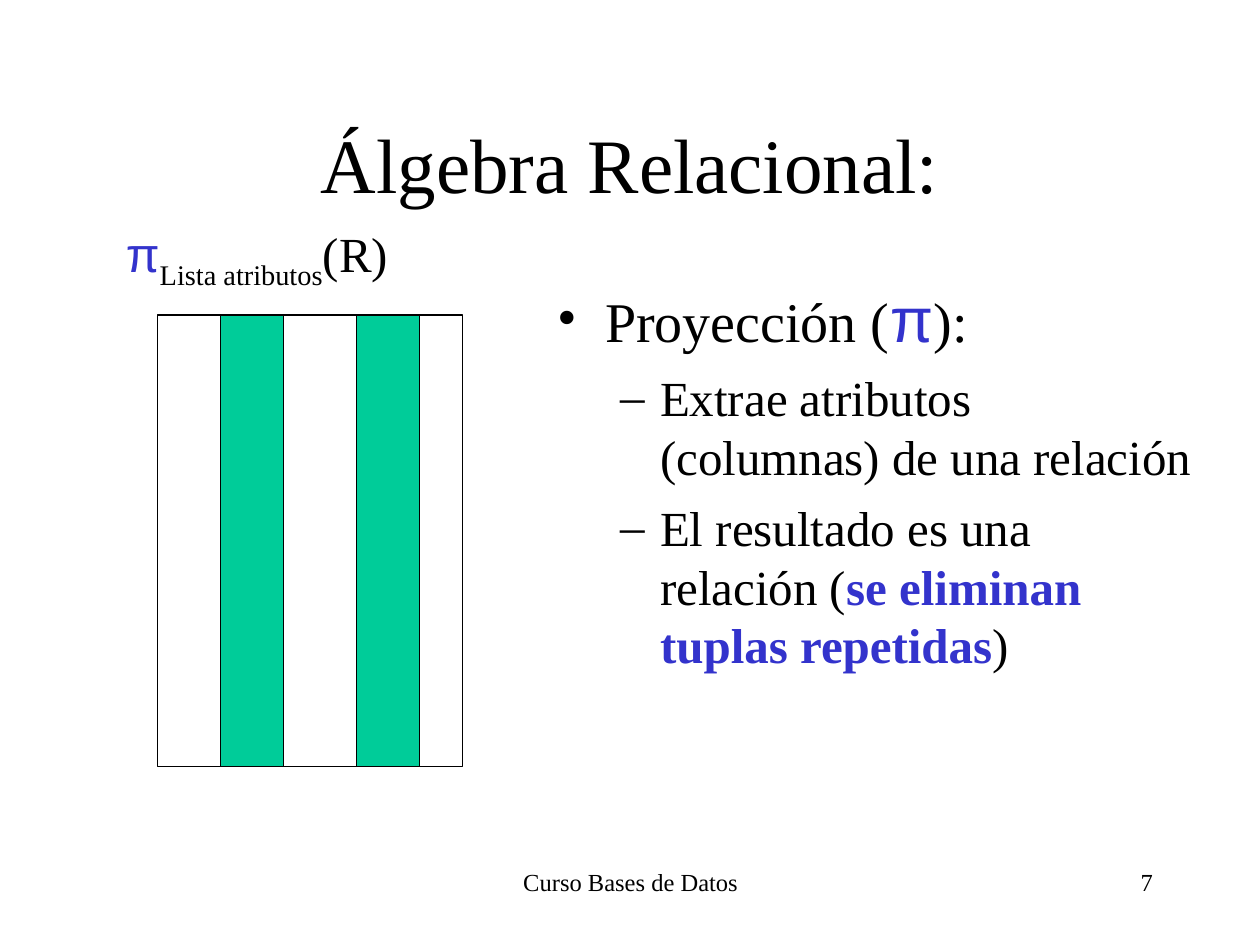
from lxml.etree import SubElement
from pptx import Presentation
from pptx.dml.color import RGBColor
from pptx.enum.shapes import MSO_SHAPE as Shape
from pptx.enum.text import MSO_ANCHOR as Anchor, PP_ALIGN as Align
from pptx.oxml.ns import qn
from pptx.util import Cm, Pt

BLACK = RGBColor(0x00, 0x00, 0x00)
BLUE = RGBColor(0x33, 0x33, 0xCC)
GREEN = RGBColor(0x00, 0xCC, 0x99)
SERIF = "Times New Roman"
SANS = "Arial"


def add_run(p, text, size=28, font=SERIF, color=BLACK, bold=False, baseline=0):
    r = p.add_run()
    r.text = text
    r.font.size = Pt(size)
    r.font.name = font
    r.font.color.rgb = color
    r.font.bold = bold
    if baseline:
        r.font._element.set("baseline", str(baseline))


def add_box(s, x, y, w, h, anchor=Anchor.TOP):
    tf = s.shapes.add_textbox(Cm(x), Cm(y), Cm(w), Cm(h)).text_frame
    tf.word_wrap = True
    tf.vertical_anchor = anchor
    return tf


def add_line(s, x, y, w, h, text, size, align, anchor=Anchor.TOP):
    p = add_box(s, x, y, w, h, anchor).paragraphs[0]
    p.alignment = align
    add_run(p, text, size=size)


def set_bullet(p, char, margin, hanging):
    pPr = p._p.get_or_add_pPr()
    pPr.set("marL", str(Cm(margin)))
    pPr.set("indent", str(-Cm(hanging)))
    color = SubElement(pPr, qn("a:buClr"))
    SubElement(color, qn("a:srgbClr"), val=str(BLACK))
    SubElement(pPr, qn("a:buFont"), typeface=SERIF)
    SubElement(pPr, qn("a:buChar"), char=char)


def add_subitem(tf, *runs):
    p = tf.add_paragraph()
    p.level = 1
    set_bullet(p, "–", 2.06, 0.79)
    p.space_before = Pt(7)
    for text, fmt in runs:
        add_run(p, text, **fmt)


def add_rect(s, x, w, fill=None):
    sp = s.shapes.add_shape(Shape.RECTANGLE, Cm(x), Cm(6.35), Cm(w), Cm(9.1))
    sp.shadow.inherit = False
    sp.line.color.rgb = BLACK
    sp.line.width = Pt(0.75)
    if fill is None:
        sp.fill.background()
    else:
        sp.fill.solid()
        sp.fill.fore_color.rgb = fill


def add_projection(s):
    tf = add_box(s, 4.33 * 2.54, 5.51, 13.28, 12.22)
    p = tf.paragraphs[0]
    set_bullet(p, "•", 0.95, 0.95)
    add_run(p, "Proyección (", size=32)
    add_run(p, "π", size=36, font=SANS, color=BLUE)
    add_run(p, "):", size=32)
    add_subitem(tf, ("Extrae atributos (columnas) de una relación", {}))
    add_subitem(
        tf,
        ("El resultado es una relación (", {}),
        ("se eliminan tuplas repetidas", {"color": BLUE, "bold": True}),
        (")", {}),
    )


def add_relation(s):
    add_rect(s, 3.18, 6.14)
    for x in (4.45, 7.19):
        add_rect(s, x, 1.27, fill=GREEN)


def add_formula(s):
    p = add_box(s, 2.29, 4.39, 7.9, 1.6).paragraphs[0]
    add_run(p, "π", font=SANS, color=BLUE)
    add_run(p, "Lista atributos", baseline=-25000)
    add_run(p, "(R)")


def main():
    prs = Presentation()
    prs.slide_width, prs.slide_height = Cm(25.4), Cm(19.05)
    s = prs.slides.add_slide(prs.slide_layouts[6])
    add_line(s, 8.69, 17.35, 8.05, 1.27, "Curso Bases de Datos", 14, Align.CENTER)
    add_line(s, 18.21, 17.35, 5.28, 1.27, "7", 14, Align.RIGHT)
    add_line(s, 1.9, 1.7, 21.6, 3.18, "Álgebra Relacional:", 44, Align.CENTER,
             Anchor.MIDDLE)
    add_projection(s)
    add_relation(s)
    add_formula(s)
    prs.save("out.pptx")


if __name__ == "__main__":
    main()
